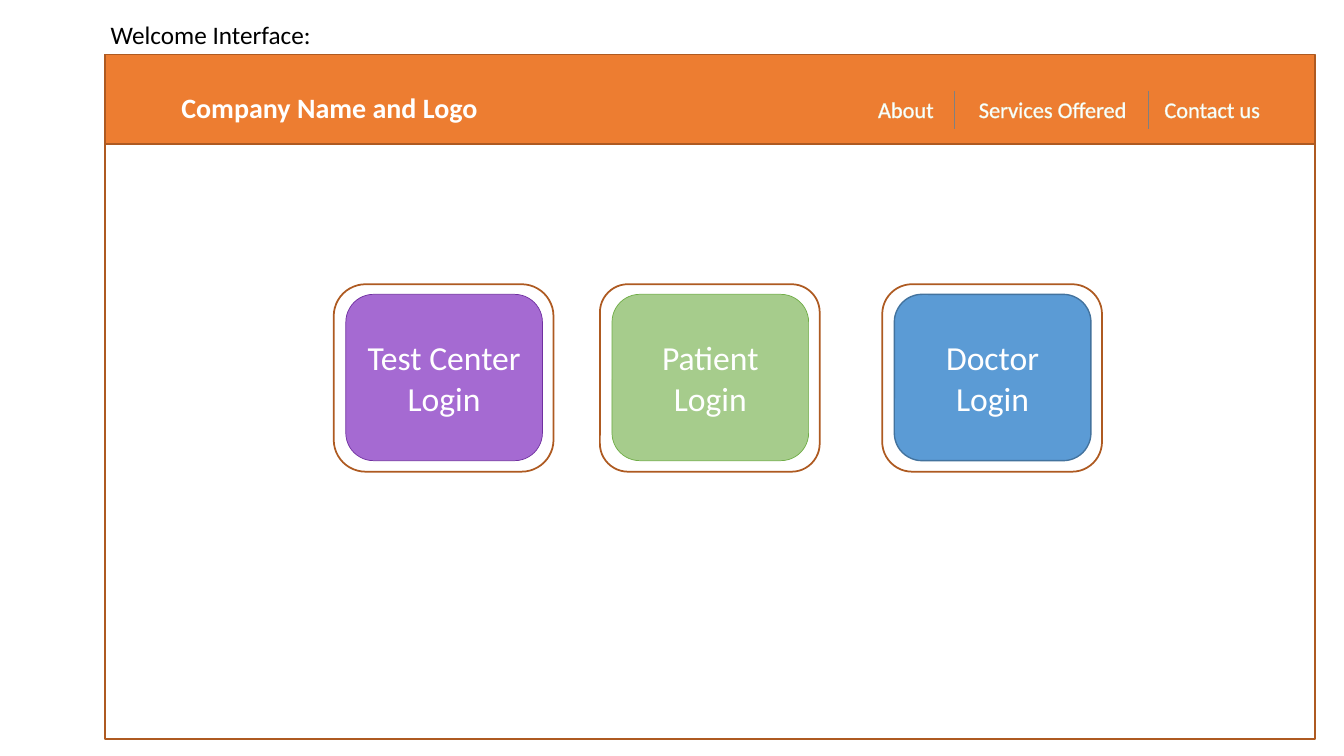
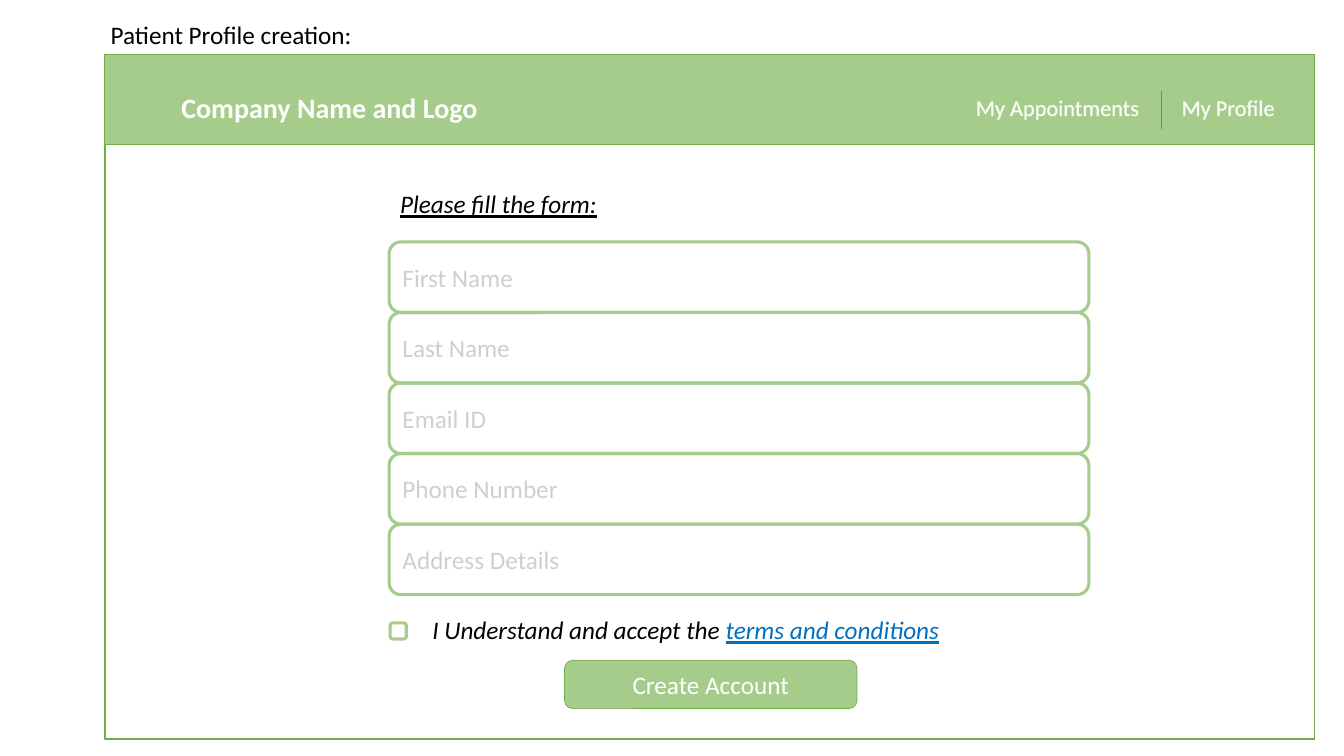
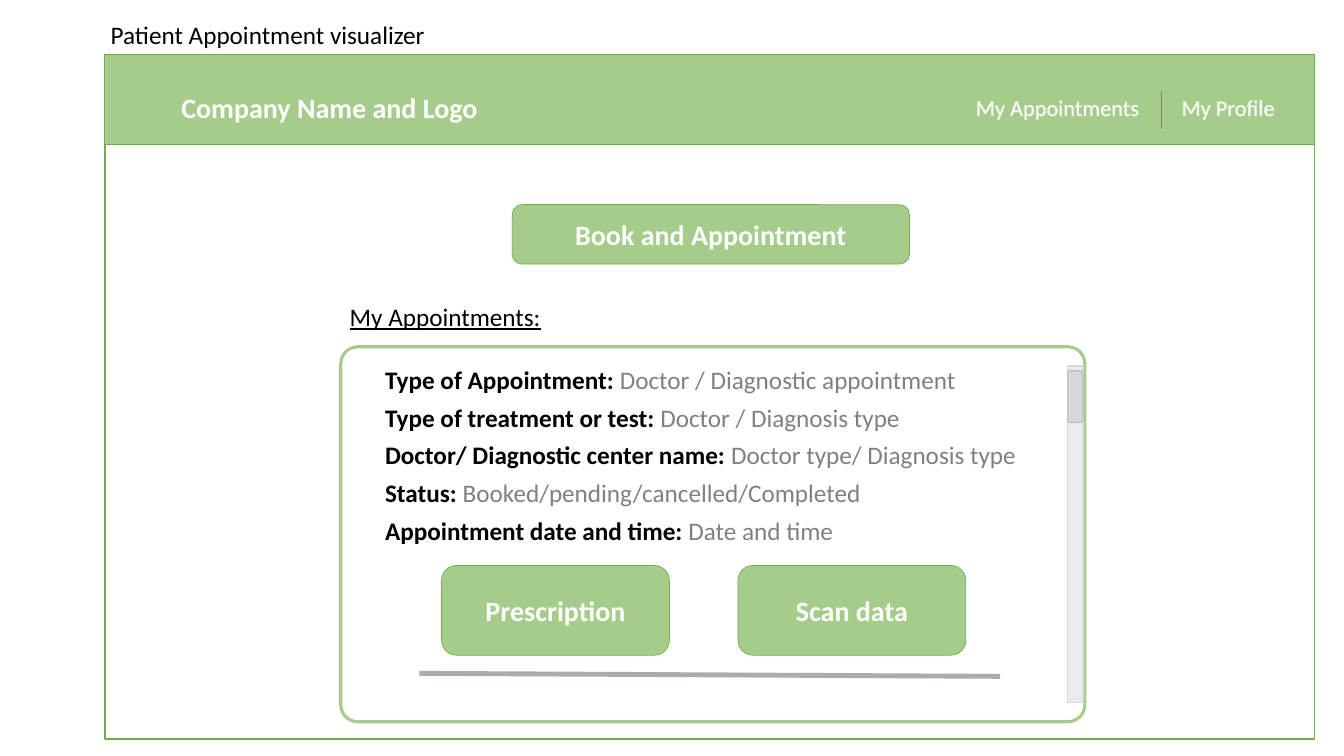
"""Build three wireframe slides of a clinic booking site."""
from dataclasses import dataclass, replace
from typing import NamedTuple

from lxml import etree
from pptx import Presentation
from pptx.dml.color import RGBColor
from pptx.enum.shapes import MSO_CONNECTOR, MSO_SHAPE
from pptx.enum.text import MSO_ANCHOR, MSO_AUTO_SIZE, PP_ALIGN
from pptx.oxml.ns import qn
from pptx.shapes.autoshape import Shape
from pptx.shapes.shapetree import GroupShapes, SlideShapes
from pptx.text.text import Font, TextFrame
from pptx.util import Emu, Pt

RECT, ROUND = MSO_SHAPE.RECTANGLE, MSO_SHAPE.ROUNDED_RECTANGLE
STRAIGHT = MSO_CONNECTOR.STRAIGHT
LEFT, CENTER = PP_ALIGN.LEFT, PP_ALIGN.CENTER
TOP, MIDDLE = MSO_ANCHOR.TOP, MSO_ANCHOR.MIDDLE
GROW = MSO_AUTO_SIZE.SHAPE_TO_FIT_TEXT
PX = 9144

Shapes = SlideShapes | GroupShapes


@dataclass(frozen=True)
class Theme:
    """Colours, font and type sizes of the deck."""
    face: str = "Calibri"
    black: str = "000000"
    white: str = "FFFFFF"
    gray: str = "808080"
    pale: str = "D0CECE"
    rule: str = "AFABAB"
    link: str = "0070C0"
    glow: str = "E2F0D9"
    rust: str = "AE5A21"
    orange: str = "ED7D31"
    green: str = "A6CC8C"
    leaf: str = "70AD47"
    violet: str = "A56AD2"
    plum: str = "7030A0"
    blue: str = "5B9BD5"
    navy: str = "43739E"
    track: str = "E9EBF1"
    rim: str = "D9D9D9"
    thumb: str = "D5D8DE"
    thumb_rim: str = "BFBFBF"
    small: int = 16
    body: int = 18
    large: int = 20
    huge: int = 24


T = Theme()


class Area(NamedTuple):
    """A place on the slide in px."""
    left: int
    top: int
    width: int
    height: int

    def emu(self) -> list[Emu]:
        """Give the four lengths in EMU."""
        return [Emu(n * PX) for n in self]


class Look(NamedTuple):
    """Fill, line colour and line width of a shape."""
    fill: str | None
    line: str
    width: float


@dataclass(frozen=True)
class Type:
    """Size, colour and style of text."""
    size: int = T.body
    color: str = T.black
    bold: bool = False
    slant: bool = False
    under: bool = False


class Span(NamedTuple):
    """A piece of text with its own type."""
    text: str
    type: Type


class Item(NamedTuple):
    """An entry of the menu."""
    text: str
    left: int
    width: int


class Card(NamedTuple):
    """A login button with its outer frame."""
    text: str
    left: int
    round: float
    look: Look


@dataclass(frozen=True)
class Site:
    """Header style and menu of a screen."""
    frame: Look
    band: Look
    menu: tuple[Item, ...]
    menu_top: int
    bars: tuple[int, ...]


PLAIN = Type()
BRAND = Type(T.large, T.white, bold=True)
LABEL = Type(color=T.white)
MENU = Type(T.small, T.white)
HINT = Type(color=T.pale)
SLANT = Type(slant=True)
KEY = Type(bold=True)
VALUE = Type(color=T.gray)

BUTTON = Look(T.green, T.leaf, 0.5)
INPUT = Look(None, T.green, 2.25)
RUSTY = Look(T.white, T.rust, 1.25)

HOME = Site(
    RUSTY, Look(T.orange, T.rust, 1),
    (Item("About", 861, 85), Item("Services Offered", 961, 177), Item("Contact us", 1145, 125)),
    90, (947, 1139))
PATIENT = Site(
    Look(T.white, T.leaf, 1), BUTTON,
    (Item("My Appointments", 958, 192), Item("My Profile", 1162, 125)),
    88, (1152,))

CARDS = (
    Card("Test Center Login", 331, 0.17, Look(T.violet, T.plum, 0.5)),
    Card("Patient Login", 595, 0.15, BUTTON),
    Card("Doctor Login", 875, 0.16, Look(T.blue, T.navy, 1)),
)
FIELDS = ("First Name", "Last Name", "Email ID", "Phone Number", "Address Details")
DETAILS = (
    ("Type of Appointment: ", "Doctor / Diagnostic appointment"),
    ("Type of treatment or test: ", "Doctor / Diagnosis type"),
    ("Doctor/ Diagnostic center name: ", "Doctor type/ Diagnosis type"),
    ("Status: ", "Booked/pending/cancelled/Completed"),
    ("Appointment date and time: ", "Date and time"),
)


def rgb(code: str) -> RGBColor:
    """Turn a hex code into a colour."""
    return RGBColor.from_string(code)


def set_font(font: Font, style: Type) -> None:
    """Apply a type style to a font."""
    font.name, font.size = T.face, Pt(style.size)
    font.color.rgb = rgb(style.color)
    font.bold, font.italic, font.underline = style.bold, style.slant, style.under


def write(frame: TextFrame, lines: list[list[Span]], align: PP_ALIGN = LEFT,
          space: float | None = None) -> None:
    """Fill a text frame, one paragraph a line."""
    for index, spans in enumerate(lines):
        para = frame.add_paragraph() if index else frame.paragraphs[0]
        para.alignment = align
        if space:
            para.line_spacing = space
        set_font(para.font, spans[0].type)
        for span in spans:
            run = para.add_run()
            run.text = span.text
            if len(spans) > 1:
                set_font(run.font, span.type)


def box(shapes: Shapes, area: Area, look: Look, kind: MSO_SHAPE = ROUND,
        curve: float | None = None) -> Shape:
    """Draw a filled or hollow shape."""
    shape = shapes.add_shape(kind, *area.emu())
    shape.shadow.inherit = False
    if look.fill:
        shape.fill.solid()
        shape.fill.fore_color.rgb = rgb(look.fill)
    else:
        shape.fill.background()
    shape.line.color.rgb = rgb(look.line)
    shape.line.width = Pt(look.width)
    if curve is not None:
        shape.adjustments[0] = curve
    return shape


def button(shapes: Shapes, area: Area, text: str, style: Type,
           look: Look = BUTTON, align: PP_ALIGN = CENTER) -> None:
    """Draw a rounded shape with a label in its middle."""
    frame = box(shapes, area, look).text_frame
    frame.word_wrap, frame.vertical_anchor = True, MIDDLE
    write(frame, [[Span(text, style)]], align)


def note(shapes: Shapes, area: Area, *spans: Span) -> TextFrame:
    """Place free text that grows with its content."""
    frame = shapes.add_textbox(*area.emu()).text_frame
    frame.word_wrap, frame.auto_size = True, GROW
    write(frame, [list(spans)])
    return frame


def stroke(shapes: Shapes, start: tuple[int, int], end: tuple[int, int],
           color: str, width: float) -> None:
    """Draw a straight line without a shadow."""
    line = shapes.add_connector(STRAIGHT, *(Emu(n * PX) for n in start + end))
    line.line.color.rgb = rgb(color)
    line.line.width = Pt(width)
    etree.SubElement(line._element.spPr, qn("a:effectLst"))


def outline(frame: TextFrame) -> None:
    """Give the text a thin pale outline."""
    for run in frame.paragraphs[0].runs:
        line = etree.Element(qn("a:ln"), w=str(Pt(0.75)))
        fill = etree.SubElement(line, qn("a:solidFill"))
        etree.SubElement(fill, qn("a:srgbClr"), val=T.glow)
        run._r.get_or_add_rPr().insert(0, line)


def screen(deck: Presentation, title: str, site: Site) -> Shapes:
    """Add a slide with its caption, window, header and menu."""
    shapes = deck.slides.add_slide(deck.slide_layouts[6]).shapes
    note(shapes, Area(100, 14, 400, 40), Span(title, PLAIN))
    box(shapes, Area(104, 54, 1200, 679), site.frame, RECT)
    box(shapes, Area(104, 54, 1200, 89), site.band, RECT)
    note(shapes, Area(170, 85, 330, 44), Span("Company Name and Logo", BRAND))
    for item in site.menu:
        frame = note(shapes, Area(item.left, site.menu_top, item.width, 37),
                     Span(item.text, MENU))
        frame.margin_right = Emu(8 * PX)
        outline(frame)
    for left in site.bars:
        stroke(shapes, (left, 90), (left, 128), T.gray, 1)
    return shapes


def welcome(deck: Presentation) -> None:
    """Build the login choice."""
    shapes = screen(deck, "Welcome Interface:", HOME)
    for card in CARDS:
        box(shapes, Area(card.left, 282, 218, 186), RUSTY, curve=card.round)
        button(shapes, Area(card.left + 12, 292, 195, 165), card.text,
               replace(LABEL, size=T.huge), card.look)


def profile(deck: Presentation) -> None:
    """Build the sign-up form."""
    shapes = screen(deck, "Patient Profile creation:", PATIENT)
    note(shapes, Area(387, 182, 240, 40),
         Span("Please fill the form:", replace(SLANT, under=True)))
    for row, text in enumerate(FIELDS):
        button(shapes, Area(386, 240 + 70 * row, 694, 70), text, HINT, INPUT, LEFT)
    box(shapes, Area(387, 618, 16, 16), INPUT)
    note(shapes, Area(419, 605, 560, 40), Span("I Understand and accept the ", SLANT),
         Span("terms and conditions", replace(SLANT, color=T.link, under=True)))
    button(shapes, Area(560, 655, 290, 48), "Create Account", LABEL)


def visits(deck: Presentation) -> None:
    """Build the list of appointments."""
    shapes = screen(deck, "Patient Appointment visualizer", PATIENT)
    button(shapes, Area(508, 203, 394, 59), "Book and Appointment", BRAND)
    note(shapes, Area(337, 294, 240, 40), Span("My Appointments:", replace(PLAIN, under=True)))
    frame = box(shapes, Area(338, 344, 738, 372), INPUT, curve=0.045).text_frame
    frame.word_wrap, frame.vertical_anchor = True, TOP
    frame.margin_left = Emu(39 * PX)
    write(frame, [[Span(key, KEY), Span(value, VALUE)] for key, value in DETAILS], space=1.25)
    stroke(shapes, (416, 668), (992, 671), T.rule, 3.5)
    scroll = shapes.add_group_shape().shapes
    box(scroll, Area(1059, 363, 15, 334), Look(T.track, T.rim, 1), RECT)
    box(scroll, Area(1059, 368, 15, 51), Look(T.thumb, T.thumb_rim, 1))
    for index, text in enumerate(("Prescription", "Scan data")):
        button(shapes, Area(438 + 294 * index, 561, 226, 89), text, BRAND)


def main() -> None:
    """Build and save the deck."""
    deck = Presentation()
    deck.slide_width, deck.slide_height = Emu(1333 * PX), Emu(750 * PX)
    for build in (welcome, profile, visits):
        build(deck)
    deck.save("out.pptx")


if __name__ == "__main__":
    main()
